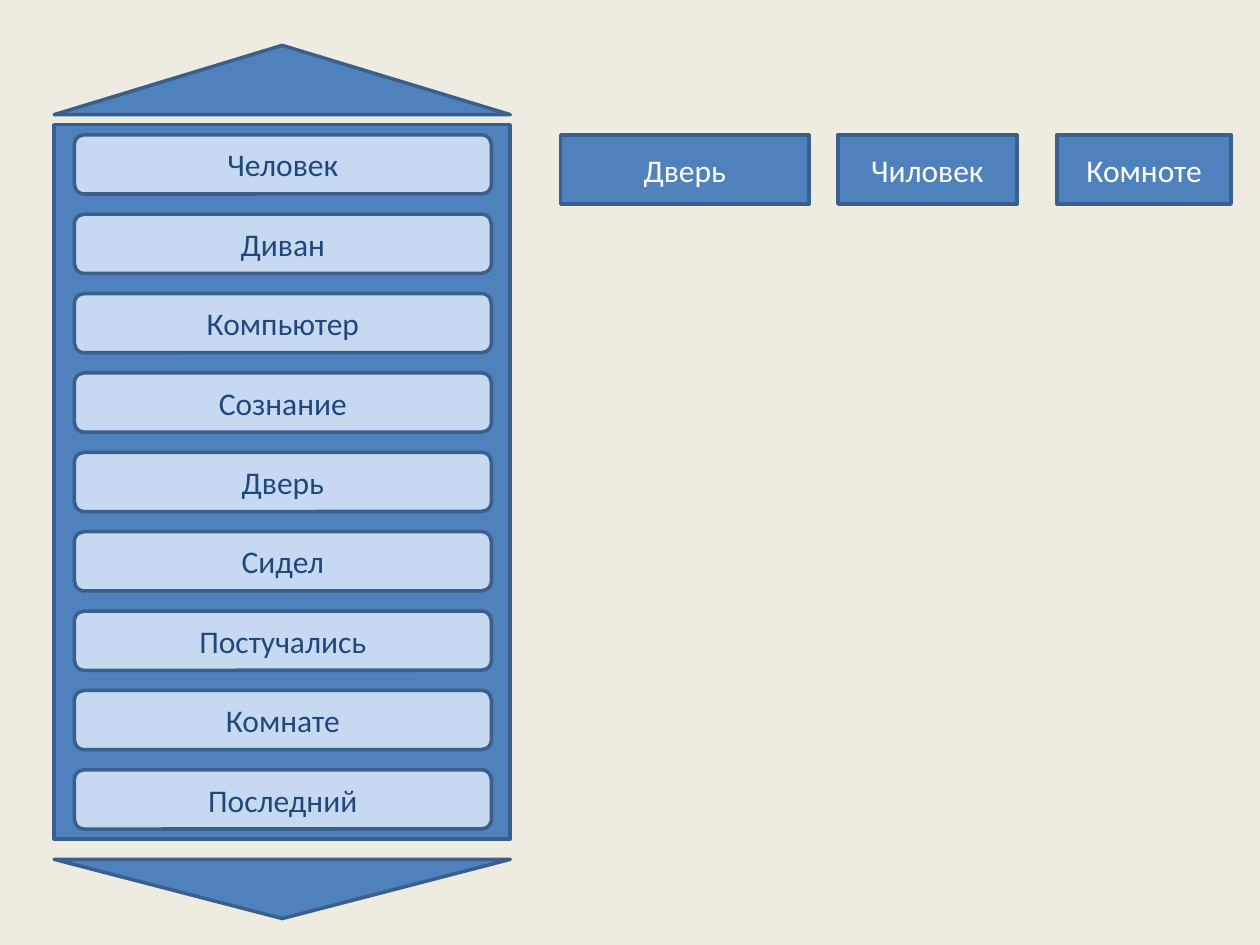
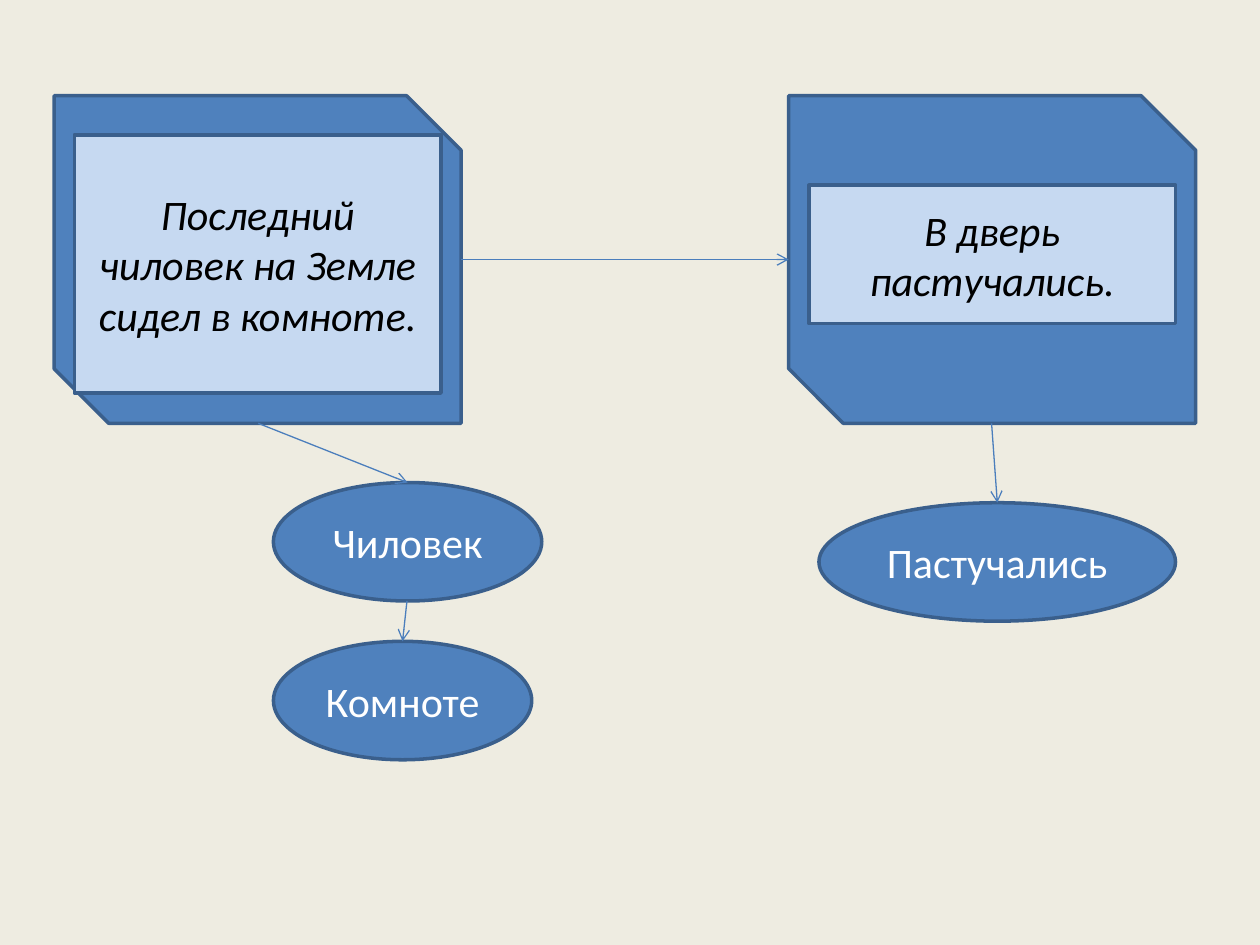
from lxml import etree
from pptx import Presentation
from pptx.dml.color import RGBColor
from pptx.enum.shapes import MSO_CONNECTOR, MSO_SHAPE
from pptx.enum.text import MSO_ANCHOR, PP_ALIGN
from pptx.oxml.ns import qn
from pptx.util import Inches, Pt

CREAM = RGBColor(0xEE, 0xEC, 0xE1)
BLUE = RGBColor(0x4F, 0x81, 0xBD)
PALE_BLUE = RGBColor(0xC6, 0xD9, 0xF1)
OUTLINE = RGBColor(0x3A, 0x5F, 0x8C)
ARROW = RGBColor(0x4B, 0x7E, 0xBC)
NAVY = RGBColor(0x1F, 0x49, 0x7D)
WHITE = RGBColor(0xFF, 0xFF, 0xFF)
BLACK = RGBColor(0x00, 0x00, 0x00)

BUTTON_TEXT = {"size": Pt(18), "color": NAVY}
ANSWER_TEXT = {"size": Pt(18), "color": WHITE}
MISTAKE_TEXT = {"size": Pt(24), "color": WHITE}
SENTENCE_TEXT = {"size": Pt(24), "color": BLACK, "italic": True}


class Slides:
    """Holds the deck, its shared style and the page being drawn."""

    def __init__(self):
        self.deck = Presentation()
        self.deck.slide_width, self.deck.slide_height = Inches(10), Inches(7.5)
        self.page = None

    def new_page(self):
        self.page = self.deck.slides.add_slide(self.deck.slide_layouts[6])
        background = self.page.background.fill
        background.solid()
        background.fore_color.rgb = CREAM

    def box(self, kind, place, fill=BLUE, text="", style=None, group=None):
        """Draw an outlined shape; place is left, top, width, height in inches."""
        parent = group or self.page
        shape = parent.shapes.add_shape(kind, *map(Inches, place))
        shape.shadow.inherit = False
        shape.fill.solid()
        shape.fill.fore_color.rgb = fill
        shape.line.color.rgb = OUTLINE
        shape.line.width = Pt(2)
        if text:
            self.label(shape.text_frame, text, style)
        return shape

    def label(self, frame, text, style):
        frame.word_wrap = True
        frame.vertical_anchor = MSO_ANCHOR.MIDDLE
        para = frame.paragraphs[0]
        para.alignment = PP_ALIGN.CENTER
        span = para.add_run()
        span.text = text
        span.font.name = "Calibri"
        for name, value in style.items():
            if name == "color":
                span.font.color.rgb = value
            else:
                setattr(span.font, name, value)

    def arrow(self, start, end, target=None):
        """Draw an arrow, joined to the top of target when there is one."""
        connector = self.page.shapes.add_connector(
            MSO_CONNECTOR.STRAIGHT, *map(Inches, start + end))
        if target is not None:
            connector.end_connect(target, 0)
        connector.line.color.rgb = ARROW
        connector.line.width = Pt(0.75)
        properties = connector.element.spPr
        etree.SubElement(properties.find(qn("a:ln")), qn("a:tailEnd"), type="arrow")
        etree.SubElement(properties, qn("a:effectLst"))


def word_list_page(slides):
    slides.new_page()
    left, width = 0.43, 3.62
    slides.box(MSO_SHAPE.ISOSCELES_TRIANGLE, (left, 0.36, width, 0.55))
    slides.box(MSO_SHAPE.RECTANGLE, (left, 0.99, width, 5.67))
    scroll_down = slides.box(MSO_SHAPE.ISOSCELES_TRIANGLE, (left, 6.82, width, 0.47))
    scroll_down.rotation = 180

    words = ("Человек", "Диван", "Компьютер", "Сознание", "Дверь", "Сидел",
             "Постучались", "Комнате", "Последний")
    buttons = slides.page.shapes.add_group_shape()
    for row, word in enumerate(words):
        slides.box(MSO_SHAPE.ROUNDED_RECTANGLE, (0.59, 1.07 + 0.63 * row, 3.31, 0.47),
                   PALE_BLUE, word, BUTTON_TEXT, buttons)

    answers = (("Дверь", 4.45, 1.97), ("Чиловек", 6.65, 1.42), ("Комноте", 8.39, 1.38))
    for word, answer_left, answer_width in answers:
        slides.box(MSO_SHAPE.RECTANGLE, (answer_left, 1.07, answer_width, 0.55),
                   BLUE, word, ANSWER_TEXT)


def mistakes_page(slides):
    slides.new_page()
    for left in (0.43, 6.26):
        slides.box(MSO_SHAPE.SNIP_2_DIAG_RECTANGLE, (left, 0.76, 3.23, 2.6))

    mistakes = (("Чиловек", (2.17, 3.83, 2.13, 0.94)),
                ("Комноте", (2.17, 5.09, 2.05, 0.94)),
                ("Пастучались", (6.5, 3.99, 2.83, 0.94)))
    person, room, knocked = [
        slides.box(MSO_SHAPE.OVAL, place, BLUE, word, MISTAKE_TEXT)
        for word, place in mistakes]

    slides.arrow((2.05, 3.36), (3.23, 3.83), person)
    slides.arrow((3.23, 4.77), (3.19, 5.09), room)
    slides.arrow((7.87, 3.36), (7.91, 3.99), knocked)
    slides.arrow((3.66, 2.06), (6.26, 2.06))

    sentences = (("Последний чиловек на Земле сидел в комноте.", (0.59, 1.07, 2.91, 2.05)),
                 ("В дверь пастучались.", (6.42, 1.47, 2.91, 1.1)))
    for sentence, place in sentences:
        slides.box(MSO_SHAPE.RECTANGLE, place, PALE_BLUE, sentence, SENTENCE_TEXT)


def main():
    slides = Slides()
    word_list_page(slides)
    mistakes_page(slides)
    slides.deck.save("out.pptx")


if __name__ == "__main__":
    main()
